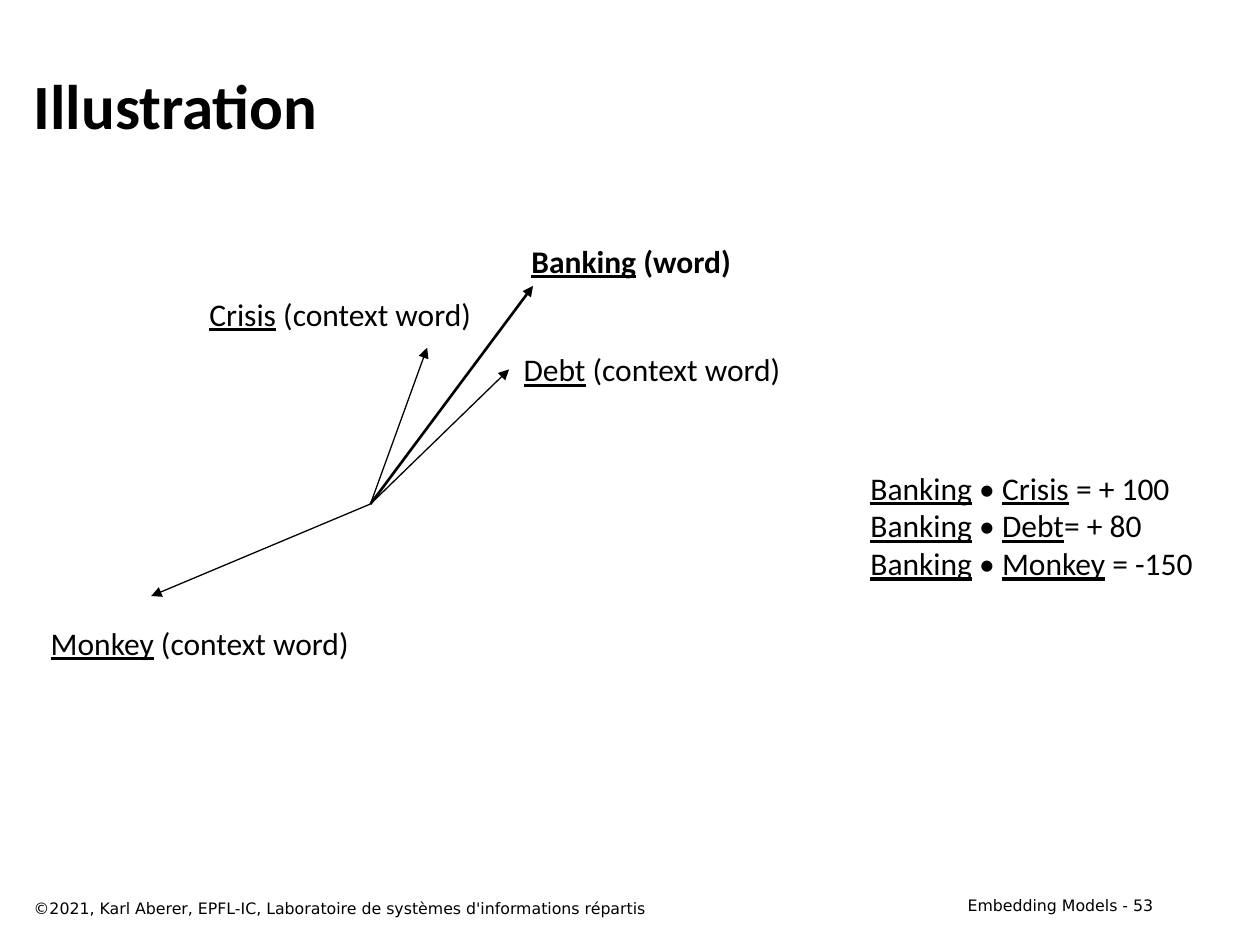
from lxml.etree import SubElement
from pptx import Presentation
from pptx.dml.color import RGBColor
from pptx.enum.shapes import MSO_CONNECTOR
from pptx.enum.text import MSO_ANCHOR, MSO_AUTO_SIZE, PP_ALIGN
from pptx.oxml.ns import qn
from pptx.util import Pt


def paint(color, code):
    """Set a colour format from a hex string."""
    color.rgb = RGBColor.from_string(code)


class Board:
    """Hold the style and the current slide."""

    ink = "000000"
    body = "Calibri"
    small = "DejaVu Sans"

    def __init__(self, slide):
        """Keep the slide to draw on."""
        self.slide = slide

    def style(self, run, size, face, bold=False):
        """Format one run."""
        run.font.size = Pt(size)
        run.font.name = face
        run.font.bold = bold
        paint(run.font.color, self.ink)

    def text(self, box, words, size, face, bold=False, align=PP_ALIGN.LEFT):
        """Add a wrapped single-style text box."""
        shape = self.slide.shapes.add_textbox(*map(Pt, box))
        frame = shape.text_frame
        frame.word_wrap = True
        frame.vertical_anchor = MSO_ANCHOR.MIDDLE if bold else MSO_ANCHOR.TOP
        frame.text = words
        line = frame.paragraphs[0]
        line.alignment = align
        self.style(line.runs[0], size, face, bold)

    def terms(self, box, lines, bold=False, align=PP_ALIGN.CENTER):
        """Add lines whose even pieces are underlined vector names."""
        shape = self.slide.shapes.add_textbox(*map(Pt, box))
        frame = shape.text_frame
        frame.word_wrap = False
        frame.auto_size = MSO_AUTO_SIZE.SHAPE_TO_FIT_TEXT
        for row, parts in enumerate(lines):
            line = frame.add_paragraph() if row else frame.paragraphs[0]
            line.alignment = align
            for spot, part in enumerate(parts):
                run = line.add_run()
                run.text = part
                self.style(run, 18, self.body, bold)
                run.font.underline = spot % 2 == 0
        return shape

    def arrow(self, start, end, width):
        """Add a straight arrow without shadow."""
        line = self.slide.shapes.add_connector(
            MSO_CONNECTOR.STRAIGHT, *map(Pt, start + end))
        line.line.width = Pt(width)
        paint(line.line.color, self.ink)
        stroke = line.line._get_or_add_ln()
        SubElement(stroke, qn("a:tailEnd"), type="triangle")
        SubElement(line._element.spPr, qn("a:effectLst"))
        return line


def main():
    """Build the slide of word vectors."""
    deck = Presentation()
    deck.slide_width, deck.slide_height = Pt(720), Pt(540)
    board = Board(deck.slides.add_slide(deck.slide_layouts[6]))

    board.text((12.2, 23.8, 654, 72), "Illustration", 36, board.body, True)

    origin = (211.7, 288)
    vectors = [
        ("Banking", "word", (304.6, 163.4), (295.9, 134.6, 129.6, 29), None),
        ("Debt", "context word", (290.2, 210.2), (290.9, 196.6, 163.4, 29), 1),
        ("Crisis", "context word", (244.1, 198.7), (111.6, 164.9, 165.6, 29), None),
        ("Monkey", "context word", (86.4, 340.6), (20.9, 352.8, 186.5, 29), None),
    ]
    for name, role, tip, box, side in vectors:
        main_word = role == "word"
        label = board.terms(box, [(name, f" ({role})")], main_word)
        arrow = board.arrow(origin, tip, 1.5 if main_word else 0.75)
        if side is not None:
            arrow.end_connect(label, side)

    scores = [("Crisis", " = + 100"), ("Debt", "= + 80"), ("Monkey", " = -150")]
    board.terms((490.3, 264.2, 200.9, 138.2),
                [("Banking", " • ", name, score) for name, score in scores],
                align=PP_ALIGN.LEFT)

    board.text((12.2, 509.8, 462.2, 18),
               "©2021, Karl Aberer, EPFL-IC, Laboratoire de systèmes "
               "d'informations répartis", 9, board.small)
    board.text((456.5, 508.3, 209.5, 18), "Embedding Models - 53", 9,
               board.small, align=PP_ALIGN.RIGHT)
    deck.save("out.pptx")


if __name__ == "__main__":
    main()
